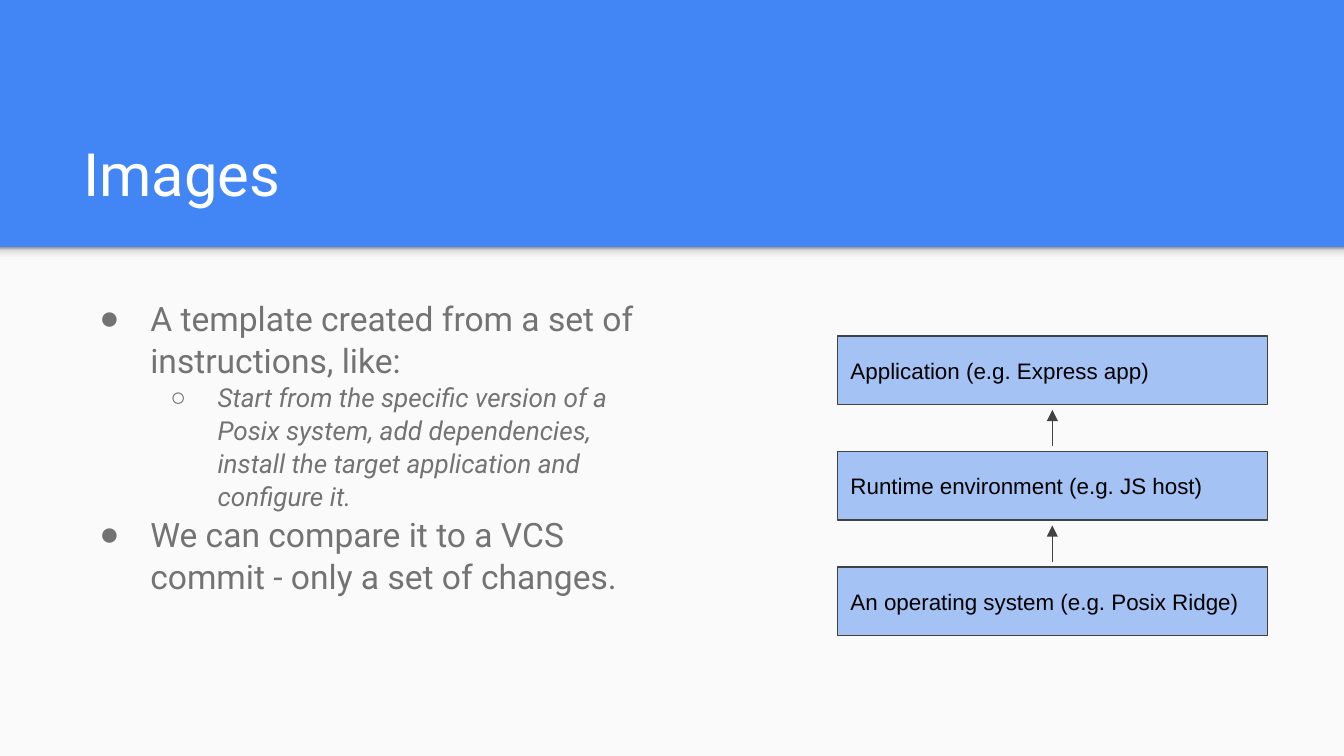
from dataclasses import dataclass

import pptx
import pptx.dml.color
import pptx.enum.shapes
import pptx.enum.text
import pptx.oxml
import pptx.oxml.ns
import pptx.util

Inches = pptx.util.Inches
Pt = pptx.util.Pt
RGBColor = pptx.dml.color.RGBColor
RECT = pptx.enum.shapes.MSO_SHAPE.RECTANGLE
ANCHOR = pptx.enum.text.MSO_ANCHOR
ALIGN = pptx.enum.text.PP_ALIGN

BLUE = RGBColor(0x42, 0x85, 0xF4)
PAPER = RGBColor(0xFA, 0xFA, 0xFA)
WHITE = RGBColor(0xFF, 0xFF, 0xFF)
GREY = RGBColor(0x73, 0x73, 0x73)
BOX_FILL = RGBColor(0xA4, 0xC2, 0xF4)
DARK = RGBColor(0x42, 0x42, 0x42)
BLACK = RGBColor(0, 0, 0)
SHADE_STOPS = [(0, "999999"), (20, "DEDEDE"), (64, "F9F9F9"), (100, "F9F9F9")]

SLIDE_W = 10
SLIDE_H = SLIDE_W * 9 / 16
BAND_TOP = 1.84
BOX_LEFT, BOX_TOP, BOX_W, BOX_H, BOX_STEP = 6.23, 2.5, 3.2, 0.51, 0.86
ARROW_GAP = 0.04


@dataclass
class Bullet:
    text: str
    level: int = 0


@dataclass
class BulletStyle:
    char: str
    margin: float
    indent: float
    size: int
    italic: bool


STYLES = [BulletStyle("●", 0.5, -0.38, 18, False),
          BulletStyle("○", 1, -0.35, 14, True)]
BULLETS = [
    Bullet("A template created from a set of instructions, like:"),
    Bullet("Start from the specific version of a Posix system, add dependencies, "
           "install the target application and configure it.", 1),
    Bullet("We can compare it to a VCS commit - only a set of changes."),
]
LAYERS = ["Application (e.g. Express app)",
          "Runtime environment (e.g. JS host)",
          "An operating system (e.g. Posix Ridge)"]


def xml(tag: str, attrs: str = "", body: str = ""):
    ns = pptx.oxml.ns.nsdecls("a")
    return pptx.oxml.parse_xml(f"<a:{tag} {ns} {attrs}>{body}</a:{tag}>")


def setup_frame(tf, anchor) -> None:
    tf.word_wrap = True
    tf.auto_size = pptx.enum.text.MSO_AUTO_SIZE.NONE
    tf.vertical_anchor = anchor
    tf.margin_left = tf.margin_right = tf.margin_top = tf.margin_bottom = Inches(0.1)


def add_run(p, text: str, font: str, size: int, color: RGBColor,
            italic: bool = False) -> None:
    r = p.add_run()
    r.text = text
    r.font.name = font
    r.font.size = Pt(size)
    r.font.italic = italic
    r.font.color.rgb = color


def add_rect(slide, left: float, top: float, width: float, height: float,
             fill: RGBColor):
    sp = slide.shapes.add_shape(RECT, Inches(left), Inches(top),
                                Inches(width), Inches(height))
    sp.shadow.inherit = False
    sp.fill.solid()
    sp.fill.fore_color.rgb = fill
    sp.line.fill.background()
    return sp


def add_shade(slide) -> None:
    sp = add_rect(slide, 0, BAND_TOP, SLIDE_W, 0.12, PAPER)
    stops = "".join(f'<a:gs pos="{pos * 1000}"><a:srgbClr val="{color}"/></a:gs>'
                    for pos, color in SHADE_STOPS)
    solid = sp._element.spPr.find(pptx.oxml.ns.qn("a:solidFill"))
    solid.getparent().replace(solid, xml(
        "gradFill", 'rotWithShape="1"',
        f'<a:gsLst>{stops}</a:gsLst><a:lin ang="5400000" scaled="0"/>'))


def add_bullet(p, bullet: Bullet) -> None:
    style = STYLES[bullet.level]
    p.level = bullet.level
    p.line_spacing = 1.05
    add_run(p, bullet.text, "Roboto", style.size, GREY, style.italic)
    pPr = p._p.get_or_add_pPr()
    pPr.set("marL", str(Inches(style.margin)))
    pPr.set("indent", str(Inches(style.indent)))
    pPr.append(xml("buClr", body=f'<a:srgbClr val="{GREY}"/>'))
    pPr.append(xml("buFont", 'typeface="Arial"'))
    pPr.append(xml("buChar", f'char="{style.char}"'))


def add_layer(slide, text: str, top: float) -> None:
    sp = add_rect(slide, BOX_LEFT, top, BOX_W, BOX_H, BOX_FILL)
    sp.line.color.rgb = DARK
    sp.line.width = Pt(0.75)
    setup_frame(sp.text_frame, ANCHOR.MIDDLE)
    p = sp.text_frame.paragraphs[0]
    p.alignment = ALIGN.LEFT
    add_run(p, text, "Arial", 12, BLACK)


def add_arrow(slide, x: float, start: float, end: float) -> None:
    line = slide.shapes.add_connector(pptx.enum.shapes.MSO_CONNECTOR.STRAIGHT,
                                      Inches(x), Inches(start), Inches(x), Inches(end))
    line.line.color.rgb = DARK
    line.line.width = Pt(0.75)
    line.line._get_or_add_ln().append(xml("tailEnd", 'type="triangle"'))
    line._element.spPr.append(xml("effectLst"))


def main() -> None:
    prs = pptx.Presentation()
    prs.slide_width, prs.slide_height = Inches(SLIDE_W), Inches(SLIDE_H)
    slide = prs.slides.add_slide(prs.slide_layouts[5])

    # Blue background, light lower panel and its shaded upper edge
    slide.background.fill.solid()
    slide.background.fill.fore_color.rgb = BLUE
    add_rect(slide, 0, BAND_TOP, SLIDE_W, SLIDE_H - BAND_TOP, PAPER)
    add_shade(slide)

    # Title
    title = slide.shapes.title
    title.left, title.top = Inches(0.52), Inches(0.81)
    title.width, title.height = Inches(8.99), Inches(0.84)
    setup_frame(title.text_frame, ANCHOR.BOTTOM)
    p = title.text_frame.paragraphs[0]
    p.alignment = ALIGN.LEFT
    add_run(p, "Images", "Roboto", 32, WHITE)

    # Bulleted text
    body = slide.shapes.add_textbox(Inches(0.52), Inches(2.1),
                                    Inches(4.39), Inches(2.96))
    tf = body.text_frame
    setup_frame(tf, ANCHOR.TOP)
    for i, bullet in enumerate(BULLETS):
        add_bullet(tf.add_paragraph() if i else tf.paragraphs[0], bullet)

    # Stack of layers, each with an arrow up to the one above
    for i, text in enumerate(LAYERS):
        top = BOX_TOP + i * BOX_STEP
        add_layer(slide, text, top)
        if i:
            above = top - BOX_STEP + BOX_H
            add_arrow(slide, BOX_LEFT + BOX_W / 2, top - ARROW_GAP, above + ARROW_GAP)

    prs.save("out.pptx")


if __name__ == "__main__":
    main()
